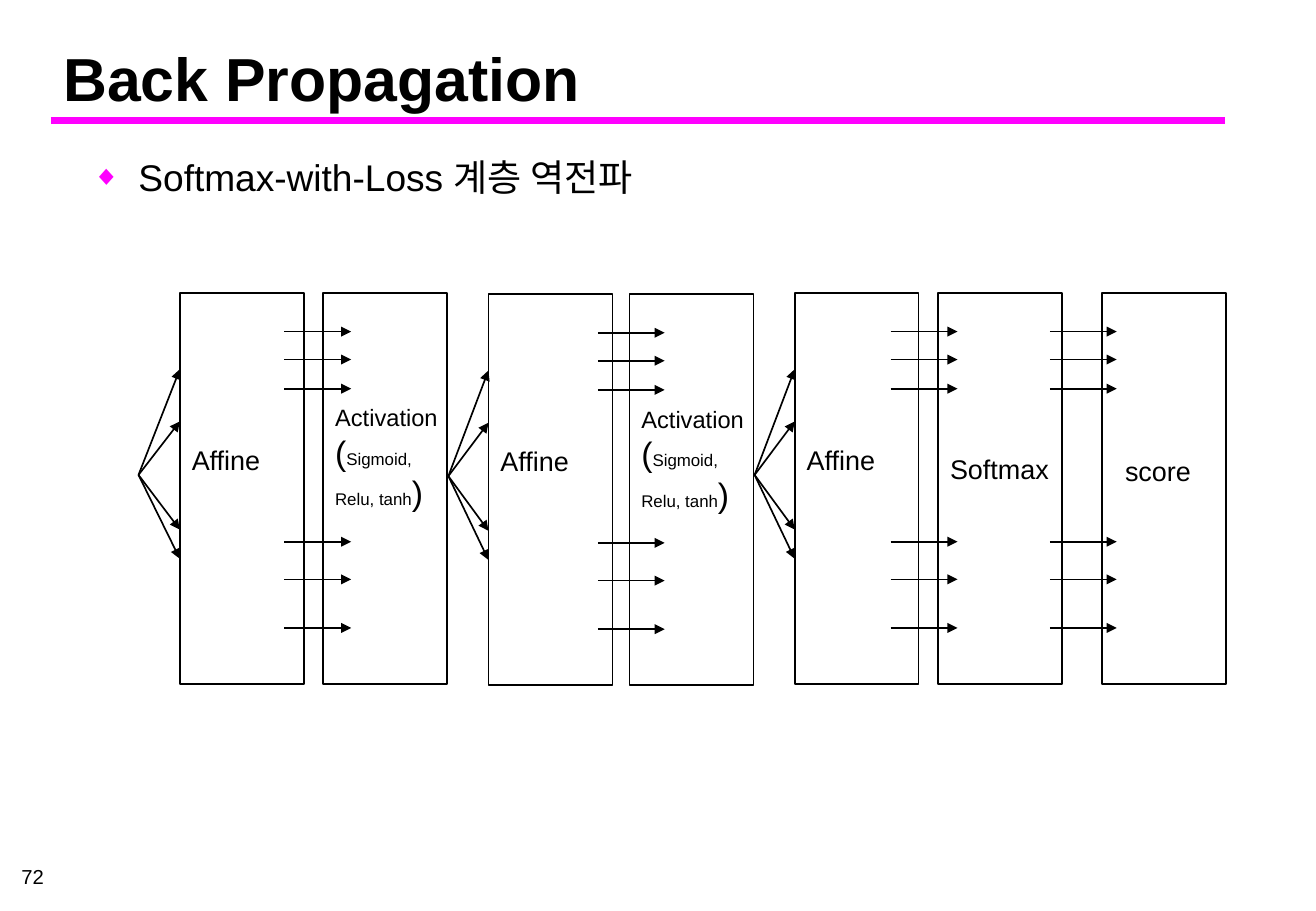
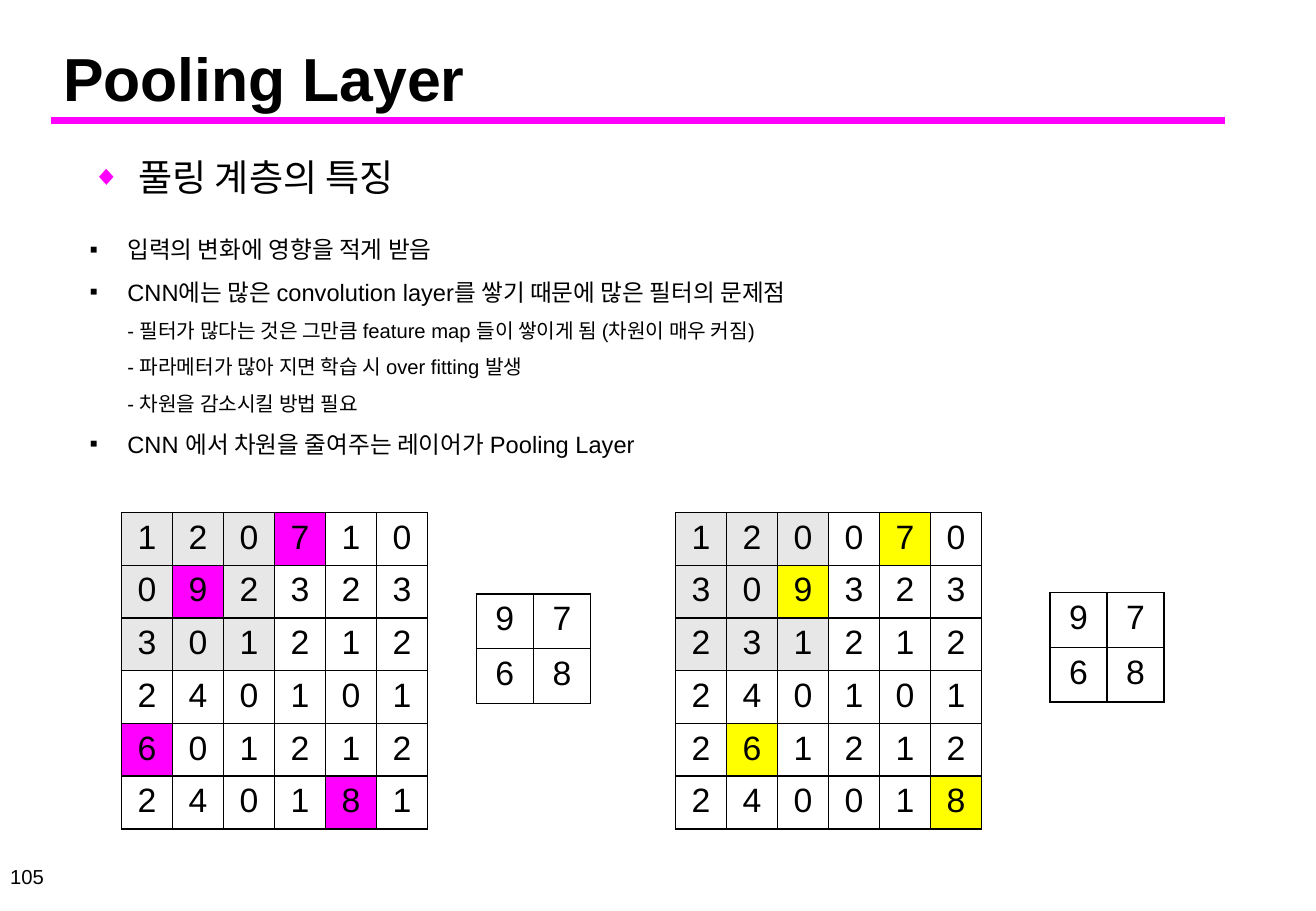
from dataclasses import dataclass
from typing import Optional

from lxml import etree
from pptx import Presentation
from pptx import util as u
from pptx.dml.color import RGBColor
from pptx.enum import shapes, text
from pptx.oxml.ns import qn

BLACK = RGBColor(0x00, 0x00, 0x00)
WHITE = RGBColor(0xFF, 0xFF, 0xFF)
GRAY = RGBColor(0xE7, 0xE7, 0xE7)
MAGENTA = RGBColor(0xFF, 0x00, 0xFF)
YELLOW = RGBColor(0xFF, 0xFF, 0x00)
FONT = "Arial"

LAYER_WIDTH, LAYER_HEIGHT = 1.02, 3.22
FAN_APEX = 1.5
FAN_TIPS = (0.63, 1.06, 1.95, 2.19)
FLOW_OFFSETS = (0.32, 0.55, 0.79, 2.05, 2.36, 2.76)
FLOW_LENGTH = 0.55


@dataclass(frozen=True)
class Label:
    runs: tuple[tuple[str, int], ...]
    down: float
    right: float = 0
    width: float = LAYER_WIDTH
    height: float = 0.37


@dataclass(frozen=True)
class Layer:
    label: Label
    left: float
    input_left: float
    top: float = 2.41
    fan: bool = False


@dataclass(frozen=True)
class Grid:
    rows: tuple[str, ...]
    left: float
    top: float
    column_width: float
    row_height: float
    mark_color: RGBColor = WHITE
    marks: frozenset[tuple[int, int]] = frozenset()
    window: int = 0


AFFINE = Label((("Affine", 16),), 1.19)
ACTIVATION = Label(
    (("Activation", 14), ("(", 20), ("Sigmoid, Relu, tanh", 10), (")", 20)),
    0.86, width=1.1, height=1.01)
SOFTMAX = Label((("Softmax", 16),), 1.27)
SCORE = Label((("score", 16),), 1.28, right=0.09)

LAYERS = (
    Layer(AFFINE, 1.48, 1.14, fan=True),
    Layer(ACTIVATION, 2.66, 2.34),
    Layer(AFFINE, 4.02, 3.69, 2.42, fan=True),
    Layer(ACTIVATION, 5.18, 4.92, 2.42),
    Layer(AFFINE, 6.54, 6.21, fan=True),
    Layer(SOFTMAX, 7.72, 7.33),
    Layer(SCORE, 9.07, 8.64),
)

POOLED = ("97", "68")
GRIDS = (
    Grid(("120710", "092323", "301212", "240101", "601212", "240181"),
         1.0, 4.22, 0.42, 0.43, MAGENTA,
         frozenset({(0, 3), (1, 1), (4, 0), (5, 4)}), 3),
    Grid(("120070", "309323", "231212", "240101", "261212", "240018"),
         5.56, 4.22, 0.42, 0.43, YELLOW,
         frozenset({(0, 4), (1, 2), (4, 1), (5, 5)}), 3),
    Grid(POOLED, 3.92, 4.89, 0.47, 0.45),
    Grid(POOLED, 8.64, 4.88, 0.47, 0.45),
)

# Each feature is a main line followed by its smaller sub-lines.
FEATURES = (
    ("입력의 변화에 영향을 적게 받음",),
    ("CNN에는 많은 convolution layer를 쌓기 때문에 많은 필터의 문제점",
     "- 필터가 많다는 것은 그만큼 feature map 들이 쌓이게 됨 (차원이 매우 커짐)",
     "- 파라메터가 많아 지면 학습 시 over fitting 발생",
     "- 차원을 감소시킬 방법 필요"),
    ("CNN 에서 차원을 줄여주는 레이어가 Pooling Layer",),
)


def set_font(font, size: Optional[int] = None, bold: Optional[bool] = None) -> None:
    font.name = FONT
    font.color.rgb = BLACK
    if size:
        font.size = u.Pt(size)
    if bold is not None:
        font.bold = bold


def set_bullet(paragraph, character: str, indent: float,
               color: RGBColor = BLACK, percent: int = 100) -> None:
    """Give the paragraph a hanging bullet; call before setting its font."""
    properties = paragraph._p.get_or_add_pPr()
    properties.set("marL", str(u.Inches(indent)))
    properties.set("indent", str(-u.Inches(indent)))
    bullet_color = etree.SubElement(properties, qn("a:buClr"))
    etree.SubElement(bullet_color, qn("a:srgbClr"), val=str(color))
    etree.SubElement(properties, qn("a:buSzPct"), val=str(percent * 1000))
    etree.SubElement(properties, qn("a:buFont"), typeface=FONT)
    etree.SubElement(properties, qn("a:buChar"), char=character)


def place(shape, left: float, top: float, width: float, height: float) -> None:
    shape.left, shape.top = u.Inches(left), u.Inches(top)
    shape.width, shape.height = u.Inches(width), u.Inches(height)


def add_textbox(slide, left: float, top: float, width: float, height: float):
    shape = slide.shapes.add_textbox(*map(u.Inches, (left, top, width, height)))
    shape.text_frame.word_wrap = True
    shape.text_frame.auto_size = text.MSO_AUTO_SIZE.SHAPE_TO_FIT_TEXT
    return shape.text_frame


def add_line(slide, start: tuple[float, float], end: tuple[float, float],
             color: RGBColor = BLACK, width: float = 1, arrow: bool = True) -> None:
    line = slide.shapes.add_connector(
        shapes.MSO_CONNECTOR.STRAIGHT, *map(u.Inches, (*start, *end)))
    line.line.color.rgb = color
    line.line.width = u.Pt(width)
    if arrow:
        etree.SubElement(line.line._get_or_add_ln(), qn("a:tailEnd"), type="triangle")
    etree.SubElement(line._element.spPr, qn("a:effectLst"))


def add_base_slide(presentation, title: str, heading: str, number: int):
    """Add a slide with its title, rule, bulleted heading and page number."""
    slide = presentation.slides.add_slide(presentation.slide_layouts[1])
    add_line(slide, (0.42, 0.99), (10.08, 0.99), MAGENTA, 4, arrow=False)

    title_shape, body = slide.placeholders
    place(title_shape, 0.42, 0.28, 9.58, 0.71)
    title_shape.text_frame.text = title
    title_shape.text_frame.vertical_anchor = text.MSO_ANCHOR.BOTTOM
    title_shape.text_frame.auto_size = text.MSO_AUTO_SIZE.NONE
    paragraph = title_shape.text_frame.paragraphs[0]
    paragraph.alignment = text.PP_ALIGN.LEFT
    set_font(paragraph.font, 36, bold=True)

    place(body, 0.66, 1.15, 9.4, 0.55)
    body.text_frame.text = heading
    body.text_frame.auto_size = text.MSO_AUTO_SIZE.NONE
    paragraph = body.text_frame.paragraphs[0]
    set_bullet(paragraph, "◆", 0.38, MAGENTA, 75)
    paragraph.line_spacing = 1.2
    paragraph.space_before = u.Pt(0)
    set_font(paragraph.font, 22)

    frame = add_textbox(slide, -0.02, 7.14, 0.48, 0.15)
    frame.word_wrap = False
    frame.auto_size = text.MSO_AUTO_SIZE.NONE
    frame.vertical_anchor = text.MSO_ANCHOR.MIDDLE
    frame.text = str(number)
    frame.paragraphs[0].alignment = text.PP_ALIGN.RIGHT
    set_font(frame.paragraphs[0].font, 12)
    return slide


def add_layer(slide, layer: Layer) -> None:
    """Draw a network layer, its label and the arrows that enter it."""
    box = slide.shapes.add_shape(
        shapes.MSO_SHAPE.RECTANGLE,
        *map(u.Inches, (layer.left, layer.top, LAYER_WIDTH, LAYER_HEIGHT)))
    box.shadow.inherit = False
    box.fill.background()
    box.line.color.rgb = BLACK
    box.line.width = u.Pt(1)

    label = layer.label
    frame = add_textbox(slide, layer.left + label.right, layer.top + label.down,
                        label.width, label.height)
    paragraph = frame.paragraphs[0]
    set_font(paragraph.font)
    for words, size in label.runs:
        run = paragraph.add_run()
        run.text = words
        run.font.size = u.Pt(size)

    if layer.fan:
        for offset in FAN_TIPS:
            add_line(slide, (layer.input_left, layer.top + FAN_APEX),
                     (layer.left, layer.top + offset))
    else:
        for offset in FLOW_OFFSETS:
            y = layer.top + offset
            add_line(slide, (layer.input_left, y), (layer.input_left + FLOW_LENGTH, y))


def add_features(slide) -> None:
    frame = add_textbox(slide, 0.64, 1.77, 9.83, 2.03)
    for index, (main_line, *sub_lines) in enumerate(FEATURES):
        paragraph = frame.add_paragraph() if index else frame.paragraphs[0]
        set_bullet(paragraph, "▪", 0.31)
        paragraph.line_spacing = 1.5
        set_font(paragraph.font, 12)
        run = paragraph.add_run()
        run.text = main_line
        run.font.size = u.Pt(14)
        for sub_line in sub_lines:
            paragraph.add_line_break()
            paragraph.add_run().text = sub_line


def set_borders(cell) -> None:
    """Rule all four sides; call before setting the cell's fill."""
    properties = cell._tc.get_or_add_tcPr()
    for side in ("a:lnL", "a:lnR", "a:lnT", "a:lnB"):
        border = etree.SubElement(properties, qn(side), w=str(u.Pt(1)))
        fill = etree.SubElement(border, qn("a:solidFill"))
        etree.SubElement(fill, qn("a:srgbClr"), val=str(BLACK))


def add_grid(slide, grid: Grid) -> None:
    row_count, column_count = len(grid.rows), len(grid.rows[0])
    table = slide.shapes.add_table(
        row_count, column_count, u.Inches(grid.left), u.Inches(grid.top),
        u.Inches(grid.column_width * column_count),
        u.Inches(grid.row_height * row_count)).table
    table.first_row = table.horz_banding = False
    for row_index, digits in enumerate(grid.rows):
        for column_index, digit in enumerate(digits):
            cell = table.cell(row_index, column_index)
            set_borders(cell)
            cell.fill.solid()
            if (row_index, column_index) in grid.marks:
                cell.fill.fore_color.rgb = grid.mark_color
            elif max(row_index, column_index) < grid.window:
                cell.fill.fore_color.rgb = GRAY
            else:
                cell.fill.fore_color.rgb = WHITE
            cell.text = digit
            paragraph = cell.text_frame.paragraphs[0]
            paragraph.alignment = text.PP_ALIGN.CENTER
            set_font(paragraph.font, 20)


def main() -> None:
    presentation = Presentation()
    presentation.slide_width = u.Inches(10.83)
    presentation.slide_height = u.Inches(7.5)

    slide = add_base_slide(presentation, "Back Propagation",
                           "Softmax-with-Loss 계층 역전파", 72)
    for layer in LAYERS:
        add_layer(slide, layer)

    slide = add_base_slide(presentation, "Pooling Layer", "풀링 계층의 특징", 105)
    add_features(slide)
    for grid in GRIDS:
        add_grid(slide, grid)

    presentation.save("out.pptx")


if __name__ == "__main__":
    main()
